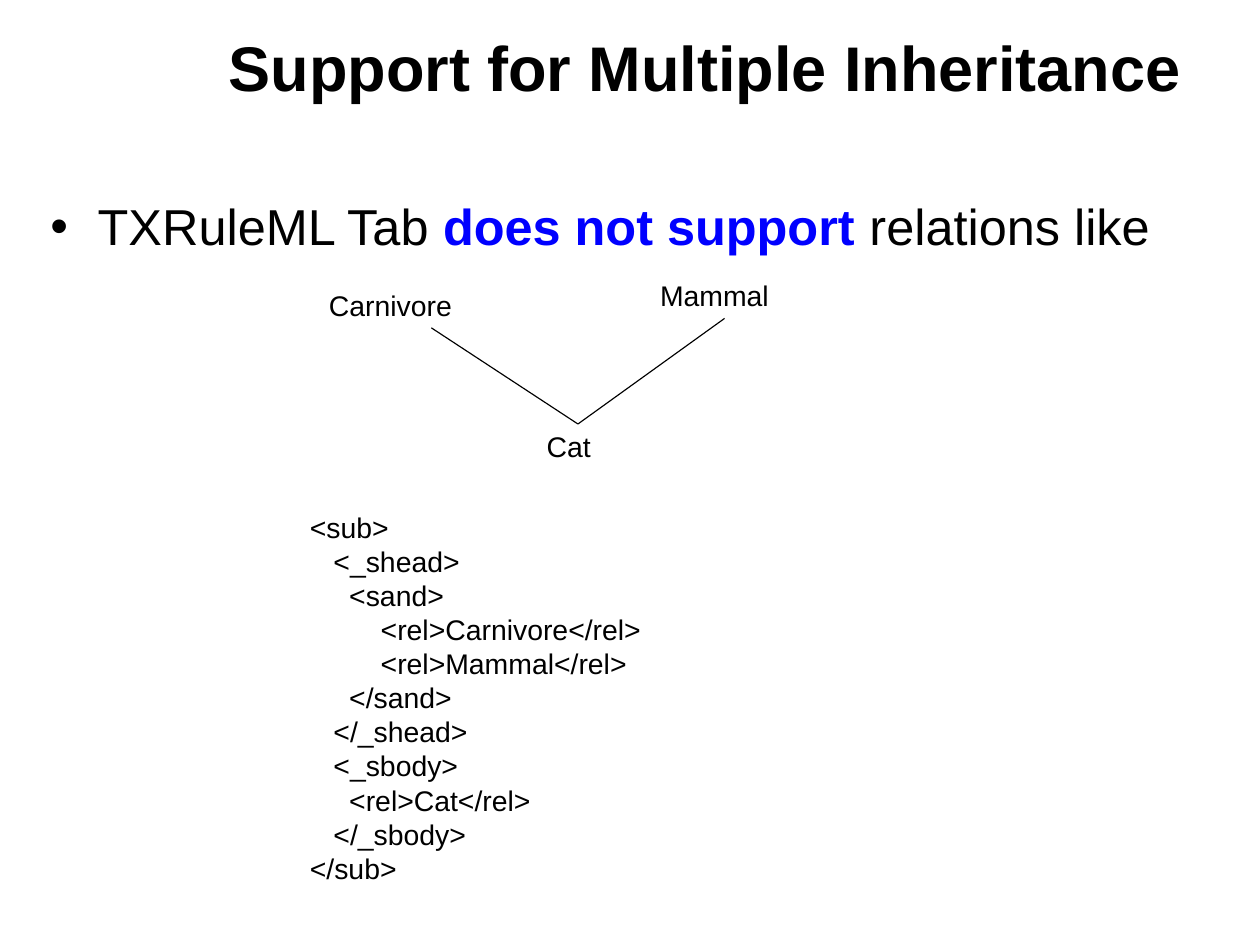
from dataclasses import dataclass

from lxml.etree import SubElement
from pptx import Presentation
from pptx.dml.color import RGBColor
from pptx.enum.shapes import MSO_CONNECTOR
from pptx.enum.text import MSO_ANCHOR, PP_ALIGN
from pptx.oxml.ns import qn
from pptx.util import Pt


@dataclass(frozen=True)
class Theme:
    font: str = "Arial"
    ink: RGBColor = RGBColor(0, 0, 0)
    accent: RGBColor = RGBColor(0, 0, 255)
    title_size: float = 40
    statement_size: float = 32
    detail_size: float = 18
    line_width: float = 0.75


THEME = Theme()

CODE = """\
<sub>
   <_shead>
     <sand>
         <rel>Carnivore</rel>
         <rel>Mammal</rel>
     </sand>
   </_shead>
   <_sbody>
     <rel>Cat</rel>
   </_sbody>
</sub>"""


def set_values(target, values):
    for name, value in values.items():
        setattr(target, name, value)


def add_text(slide, box, paragraphs, size, margins=(7.2, 3.6), anchor=MSO_ANCHOR.TOP):
    """Place paragraphs, each a list of (text, colour, bold) runs, and return the text box."""
    left, top, width, height = map(Pt, box)
    holder = slide.shapes.add_textbox(left, top, width, height)
    side, edge = map(Pt, margins)
    frame = holder.text_frame
    set_values(frame, {
        "word_wrap": True, "vertical_anchor": anchor,
        "margin_left": side, "margin_right": side,
        "margin_top": edge, "margin_bottom": edge,
    })
    for index, runs in enumerate(paragraphs):
        paragraph = frame.add_paragraph() if index else frame.paragraphs[0]
        paragraph.alignment = PP_ALIGN.LEFT
        for text, colour, bold in runs:
            run = paragraph.add_run()
            run.text = text
            set_values(run.font, {"name": THEME.font, "size": Pt(size), "bold": bold})
            run.font.color.rgb = colour
    return holder


def add_title(slide, box):
    add_text(slide, box, [[(" Support for Multiple Inheritance", THEME.ink, True)]],
             THEME.title_size, (8, 4), MSO_ANCHOR.MIDDLE)


def add_statement(slide, box):
    statement = add_text(slide, box, [[
        ("TXRuleML Tab ", THEME.ink, False),
        ("does not support", THEME.accent, True),
        (" relations like", THEME.ink, False),
    ]], THEME.statement_size, (8, 4))
    properties = statement.text_frame.paragraphs[0]._p.get_or_add_pPr()
    hanging_indent = {"marL": Pt(30), "indent": -Pt(30)}
    for name, value in hanging_indent.items():
        properties.set(name, str(value))
    SubElement(properties, qn("a:buFont")).set("typeface", THEME.font)
    SubElement(properties, qn("a:buChar")).set("char", "•")


def add_inheritance_tree(slide, box):
    """Draw two parent classes, each joined to the one child below them."""
    left, top, width, height = box
    label_height = 29

    def add_label(name, x, y, label_width):
        return add_text(slide, (left + x, top + y, label_width, label_height),
                        [[(name, THEME.ink, False)]], THEME.detail_size)

    mammal = add_label("Mammal", width - 96, 0, 96)
    cat = add_label("Cat", 138, height - label_height, 54)
    carnivore = add_label("Carnivore", 0, 6, 144)
    for parent in (mammal, carnivore):
        branch = slide.shapes.add_connector(MSO_CONNECTOR.STRAIGHT, 0, 0, 0, 0)
        branch.begin_connect(parent, 2)
        branch.end_connect(cat, 0)
        branch.line.width = Pt(THEME.line_width)
        branch.line.color.rgb = THEME.ink
        SubElement(branch._element.spPr, qn("a:effectLst"))


def add_code(slide, box):
    add_text(slide, box, [[(line, THEME.ink, False)] for line in CODE.splitlines()],
             THEME.detail_size, anchor=MSO_ANCHOR.MIDDLE)


def main():
    deck = Presentation()
    set_values(deck, {"slide_width": Pt(799.2), "slide_height": Pt(597.6)})
    slide = deck.slides.add_slide(deck.slide_layouts[6])
    add_title(slide, (126, 6, 660, 72))
    add_statement(slide, (24, 120, 756, 411))
    add_inheritance_tree(slide, (201.6, 173, 306, 125))
    add_code(slide, (189.5, 320, 462, 245))
    deck.save("out.pptx")


if __name__ == "__main__":
    main()
